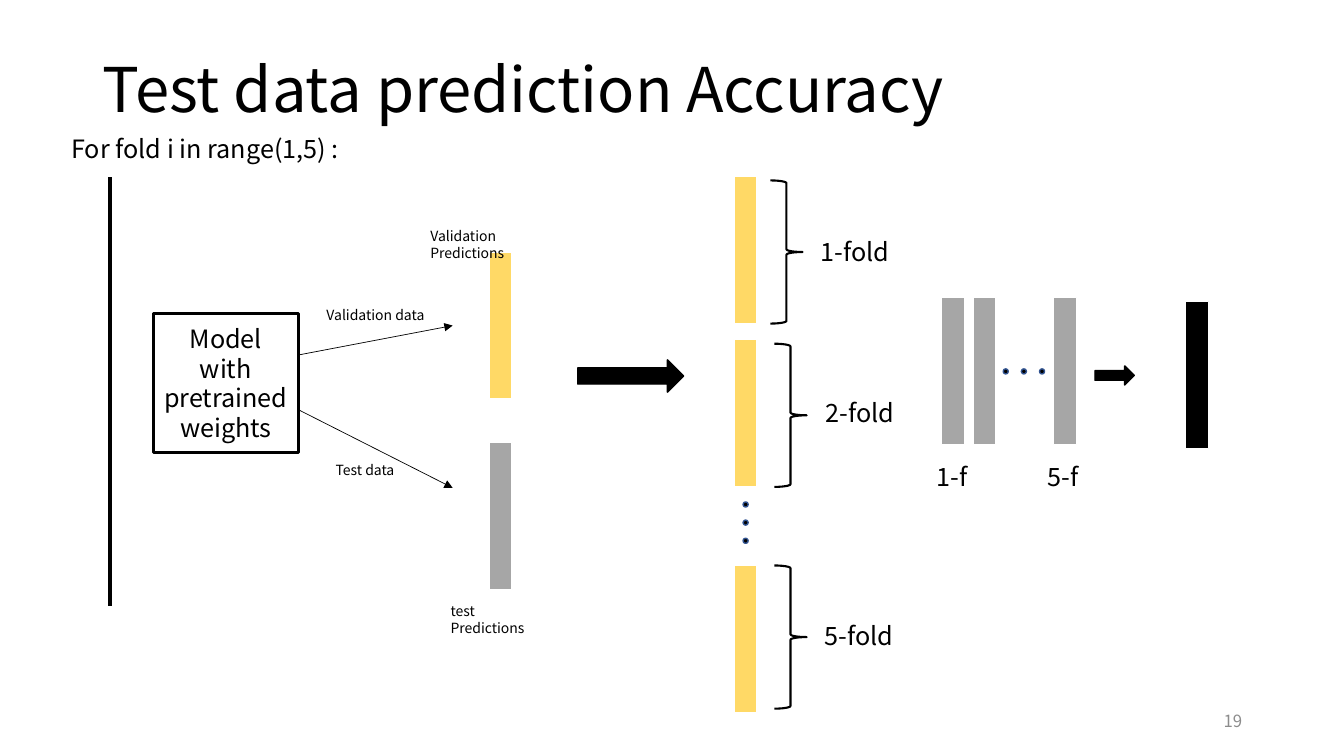
"""Build the slide on test data prediction accuracy across folds."""
import pptx
import pptx.util
import pptx.dml.color
import pptx.enum.shapes
import pptx.enum.text
from lxml import etree
from pptx.oxml.ns import qn

FONT = "Noto Sans CJK KR"
BLACK, WHITE, GREY, YELLOW, NAVY = "000000", "FFFFFF", "A6A6A6", "FFD966", "325491"
BAR_W, BAR_H = 0.23, 1.46
DOT, DOT_STEP = 0.05, 0.18
Inches, Pt = pptx.util.Inches, pptx.util.Pt
SHAPE = pptx.enum.shapes.MSO_SHAPE
ALIGN = pptx.enum.text.PP_ALIGN
ANCHOR = pptx.enum.text.MSO_ANCHOR
rgb = pptx.dml.color.RGBColor.from_string

prs = pptx.Presentation()
prs.slide_width, prs.slide_height = Inches(13.33), Inches(7.5)
s = prs.slides.add_slide(prs.slide_layouts[5])


def write(sp, text, size, color=BLACK, align=ALIGN.LEFT, anchor=ANCHOR.TOP, wrap=True, spacing=None):
    tf = sp.text_frame
    tf.auto_size = pptx.enum.text.MSO_AUTO_SIZE.NONE
    tf.word_wrap, tf.vertical_anchor = wrap, anchor
    p = tf.paragraphs[0]
    p.alignment, p.line_spacing = align, spacing or Pt(round(size * 1.19, 1))
    for i, line in enumerate(text.split("\n")):
        if i:
            p.add_line_break()
        r = p.add_run()
        r.text = line
        r.font.name, r.font.size, r.font.color.rgb = FONT, Pt(size), rgb(color)


def draw(kind, x, y, w, h, fill, line, width=1):
    sp = s.shapes.add_shape(kind, Inches(x), Inches(y), Inches(w), Inches(h))
    sp.shadow.inherit = False
    if fill:
        sp.fill.solid()
        sp.fill.fore_color.rgb = rgb(fill)
    else:
        sp.fill.background()
    sp.line.color.rgb, sp.line.width = rgb(line), Pt(width)
    return sp


title = s.shapes.title
title.left, title.top, title.width, title.height = [Inches(v) for v in (0.92, 0.19, 11.5, 1.45)]
write(title, "Test data prediction Accuracy", 44, anchor=ANCHOR.MIDDLE, spacing=0.9)

model = draw(SHAPE.RECTANGLE, 1.52, 3.11, 1.44, 1.38, WHITE, BLACK, 2)
write(model, "Model with pretrained weights", 18, align=ALIGN.CENTER, anchor=ANCHOR.MIDDLE)

for x1, y1, x2, y2, width, arrow in [
    (1.09, 1.76, 1.09, 6.01, 2.5, False),
    (2.97, 3.52, 4.49, 3.23, 0.5, True),
    (2.97, 4.07, 4.49, 4.84, 0.5, True),
]:
    c = s.shapes.add_connector(pptx.enum.shapes.MSO_CONNECTOR.STRAIGHT,
                               Inches(x1), Inches(y1), Inches(x2), Inches(y2))
    c.line.color.rgb, c.line.width = rgb(BLACK), Pt(width)
    if arrow:
        etree.SubElement(c.line._get_or_add_ln(), qn("a:tailEnd"), type="triangle")
    etree.SubElement(c._element.spPr, qn("a:effectLst"))

for x, y, color in [
    (4.85, 2.5, YELLOW), (4.85, 4.39, GREY),
    (7.28, 1.75, YELLOW), (7.28, 3.37, YELLOW), (7.28, 5.61, YELLOW),
    (9.34, 2.95, GREY), (9.65, 2.95, GREY), (10.45, 2.95, GREY),
    (11.76, 2.99, BLACK),
]:
    draw(SHAPE.RECTANGLE, x, y, BAR_W, BAR_H, color, WHITE)

for i in range(3):
    for x, y in [(7.37, 4.98 + i * DOT_STEP), (9.95 + i * DOT_STEP, 3.66)]:
        draw(SHAPE.OVAL, x, y, DOT, DOT, BLACK, NAVY)

for x, y in [(7.64, 1.79), (7.68, 3.41), (7.68, 5.61)]:
    brace = draw(SHAPE.LEFT_BRACE, x, y, 0.32, 1.42, None, BLACK, 1.5)
    brace.rotation = 180

for x, y, w, h in [(5.73, 3.57, 1.05, 0.32), (10.86, 3.63, 0.39, 0.19)]:
    draw(SHAPE.RIGHT_ARROW, x, y, w, h, BLACK, BLACK)

for text, x, y, w, h, size, wrap in [
    ("For fold i in range(1,5) :", 0.61, 1.28, 5.5, 0.4, 18, True),
    ("Validation data", 3.14, 2.99, 1.17, 0.27, 10, False),
    ("Test data", 3.23, 4.53, 0.79, 0.27, 10, False),
    ("Validation\nPredictions", 4.17, 2.21, 1.59, 0.27, 10, True),
    ("test\nPredictions", 4.37, 5.93, 1.19, 0.27, 10, True),
    ("1-fold", 8.04, 2.3, 0.89, 0.4, 18, False),
    ("2-fold", 8.09, 3.9, 0.89, 0.4, 18, False),
    ("5-fold", 8.08, 6.11, 0.89, 0.4, 18, False),
    ("1-f", 9.19, 4.53, 0.52, 0.4, 18, False),
    ("5-f", 10.29, 4.53, 0.52, 0.4, 18, False),
]:
    label = s.shapes.add_textbox(Inches(x), Inches(y), Inches(w), Inches(h))
    write(label, text, size, wrap=wrap)

number = s.shapes.add_textbox(Inches(9.42), Inches(6.95), Inches(3), Inches(0.4))
write(number, "19", 12, "8C8C8C", ALIGN.RIGHT, ANCHOR.MIDDLE)

prs.save("out.pptx")
